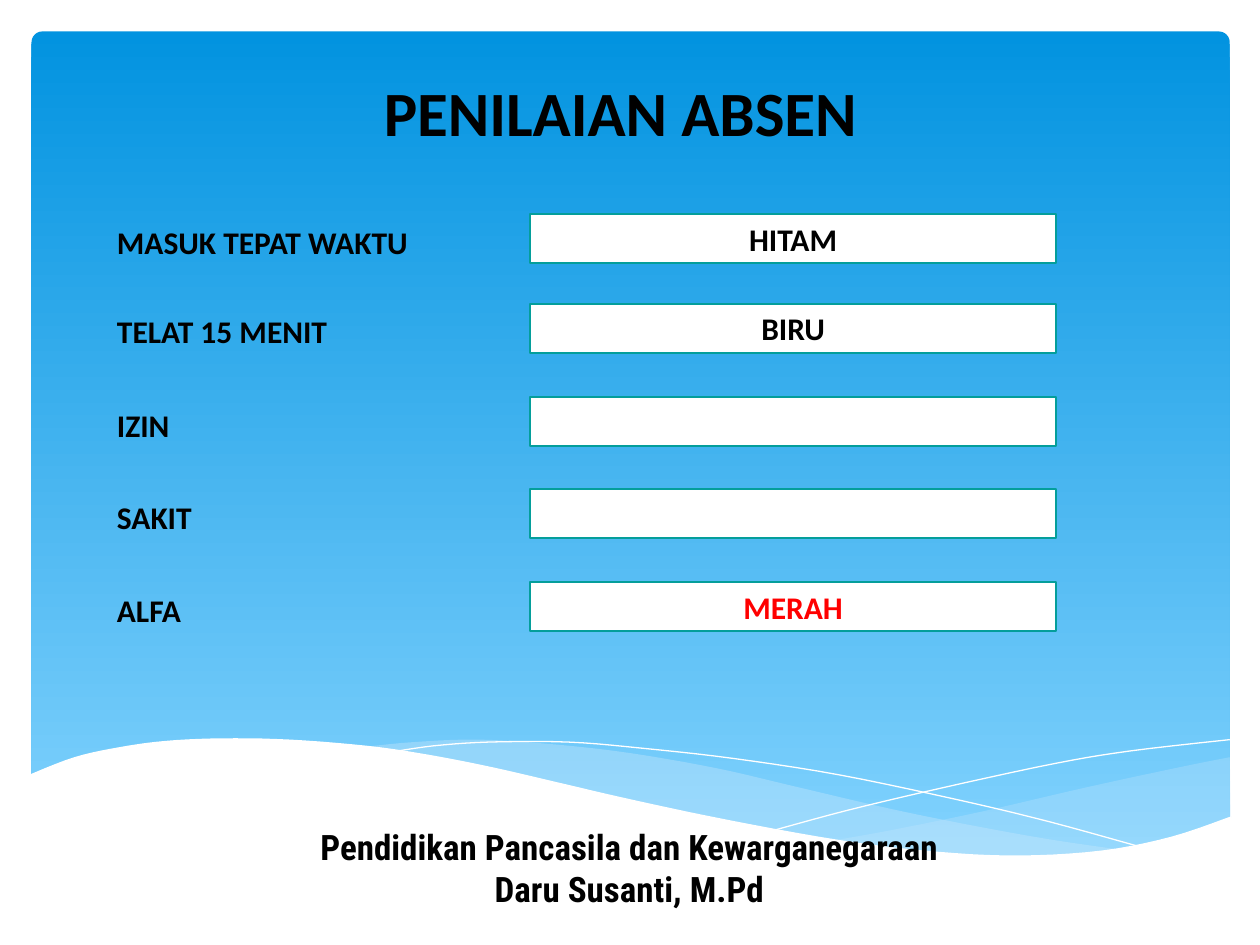
from lxml.etree import SubElement
from pptx import Presentation
from pptx.dml.color import RGBColor
from pptx.enum.shapes import MSO_SHAPE
from pptx.enum.text import MSO_ANCHOR, MSO_AUTO_SIZE, PP_ALIGN
from pptx.oxml.ns import qn
from pptx.util import Pt

PX = 9144
RIGHT_CREST = [(976, 601), (936, 609), (862, 625), (780, 644), (707, 659), (662, 667)]
RIGHT_BASE = [(662, 667), (719, 674), (782, 679), (845, 679), (898, 672), (944, 661), (977, 649)]
MIDDLE_CREST = [(894, 675), (838, 667), (776, 656), (707, 642), (630, 624), (570, 610),
                (502, 598), (442, 591), (380, 587), (328, 589), (287, 593)]
MIDDLE_BASE = [(287, 593), (343, 601), (405, 613), (450, 624), (530, 642), (602, 657),
               (666, 668), (737, 677), (808, 680), (859, 679), (894, 675)]
LONG_THREAD = [(310, 597), (344, 592), (388, 589), (451, 589), (511, 594), (582, 602),
               (666, 615), (761, 635), (832, 652), (908, 673)]
SHORT_THREAD = [(614, 659), (673, 643), (749, 625), (837, 606), (897, 596), (976, 587)]
FRONT_CREST = [(977, 648), (930, 664), (875, 675), (809, 679), (744, 676), (668, 667),
               (579, 651), (503, 635), (447, 622), (391, 609), (340, 599), (292, 592),
               (230, 587), (177, 586), (132, 588), (95, 593), (59, 601), (23, 615)]
ROWS = [
    (170, "MASUK TEPAT WAKTU", 266, "HITAM", "000000"),
    (241, "TELAT 15 MENIT", 191, "BIRU", "000000"),
    (315, "IZIN", 64, "", "000000"),
    (388, "SAKIT", 85, "", "000000"),
    (462, "ALFA", 76, "MERAH", "FF0000"),
]
FONT = {"name": "Calibri", "size": Pt(18), "bold": True}


def paint(color_format, hex_color):
    """Give a colour format an RGB value."""
    color_format.rgb = RGBColor.from_string(hex_color)


def apply(target, formats):
    """Set every attribute named in formats on target."""
    for attribute, value in formats.items():
        setattr(target, attribute, value)


def scaled(*lengths):
    """Turn px lengths into EMU."""
    return [length * PX for length in lengths]


def write(shape, lines, align, hex_color="000000", frame_format=None, **font_format):
    """Write one paragraph for each line into a shape."""
    frame = shape.text_frame
    apply(frame, {"word_wrap": True, **(frame_format or {})})
    frame.text = "\n".join(lines)
    for paragraph in frame.paragraphs:
        paragraph.alignment = align
        apply(paragraph.font, {**FONT, **font_format})
        paint(paragraph.font.color, hex_color)


def smooth_curve(anchors, steps=5):
    """Return points of a Catmull-Rom curve through the anchors."""
    padded = [anchors[0], *anchors, anchors[-1]]
    points = [anchors[0]]
    for quad in zip(padded, padded[1:], padded[2:], padded[3:]):
        for step in range(1, steps + 1):
            t = step / steps
            points.append(tuple(
                (2 * b + (c - a) * t + (2 * a - 5 * b + 4 * c - d) * t ** 2
                 + (3 * b - a - 3 * c + d) * t ** 3) / 2
                for a, b, c, d in zip(*quad)))
    return points


def draw_outline(slide, origin, points, closed):
    """Draw a freeform through px points offset by origin."""
    left, top = origin
    start, *rest = [((left + x) * PX, (top + y) * PX) for x, y in points]
    builder = slide.shapes.build_freeform(*start)
    builder.add_line_segments(rest, close=closed)
    outline = builder.convert_to_shape()
    outline.shadow.inherit = False
    return outline


def add_wave(slide, origin, points, hex_color, opacity=100):
    """Add a filled wave without a line."""
    wave = draw_outline(slide, origin, points, True)
    wave.fill.solid()
    paint(wave.fill.fore_color, hex_color)
    wave.line.fill.background()
    if opacity < 100:
        color = wave.fill._xPr.find(qn("a:solidFill"))[0]
        SubElement(color, qn("a:alpha")).set("val", str(opacity * 1000))


def add_thread(slide, origin, anchors):
    """Add a white hairline curve."""
    thread = draw_outline(slide, origin, smooth_curve(anchors), False)
    thread.fill.background()
    paint(thread.line.color, "FFFFFF")
    thread.line.width = Pt(0)


def add_backdrop(slide, left, top, width, height):
    """Add the blue panel with the waves along its foot."""
    panel = slide.shapes.add_shape(MSO_SHAPE.ROUNDED_RECTANGLE,
                                   *scaled(left + 25, top + 25, width - 49, height - 90))
    panel.adjustments[0] = 0.013
    panel.shadow.inherit = False
    panel.line.fill.background()
    panel.fill.gradient()
    panel.fill.gradient_angle = 270
    for stop, position, hex_color in zip(panel.fill.gradient_stops, (0, 1), ("0293E0", "83D3FE")):
        stop.position = position
        paint(stop.color, hex_color)
    origin = left, top
    for crest, base, opacity in ((RIGHT_CREST, RIGHT_BASE, 29), (MIDDLE_CREST, MIDDLE_BASE, 40)):
        add_wave(slide, origin, smooth_curve(crest) + smooth_curve(base)[1:], "C6E7FC", opacity)
    for anchors in (LONG_THREAD, SHORT_THREAD):
        add_thread(slide, origin, anchors)
    add_wave(slide, origin, smooth_curve(FRONT_CREST) + [(23, 731), (977, 731)], "FFFFFF")


def place_title(slide, left, top, width, height):
    """Place the title placeholder in front of the backdrop."""
    title = slide.shapes.title
    title.element.getparent().append(title.element)
    apply(title, dict(zip(("left", "top", "width", "height"), scaled(left, top, width, height))))
    write(title, ["PENILAIAN ABSEN"], PP_ALIGN.CENTER, size=Pt(36),
          frame_format={"vertical_anchor": MSO_ANCHOR.TOP,
                        "auto_size": MSO_AUTO_SIZE.SHAPE_TO_FIT_TEXT})


def add_footer(slide, left, top, width, height):
    """Add the subject and teacher lines."""
    footer = slide.shapes.add_textbox(*scaled(left, top, width, height))
    write(footer, ["Pendidikan Pancasila dan Kewarganegaraan", "Daru Susanti, M.Pd"],
          PP_ALIGN.CENTER, name="Roboto Condensed", size=Pt(20),
          frame_format={"auto_size": MSO_AUTO_SIZE.SHAPE_TO_FIT_TEXT})


def add_attendance_row(slide, left, top, status, status_width, mark, mark_color):
    """Add a status label and its box with the ink colour."""
    box = slide.shapes.add_shape(MSO_SHAPE.RECTANGLE, *scaled(left + 338, top, 417, 39))
    box.shadow.inherit = False
    box.fill.solid()
    paint(box.fill.fore_color, "FFFFFF")
    paint(box.line.color, "049E9B")
    box.line.width = Pt(1.25)
    if mark:
        write(box, [mark], PP_ALIGN.CENTER, mark_color,
              {"vertical_anchor": MSO_ANCHOR.MIDDLE})
    label = slide.shapes.add_textbox(*scaled(left, top + 2, status_width, 40))
    write(label, [status], PP_ALIGN.LEFT,
          frame_format={"word_wrap": False, "auto_size": MSO_AUTO_SIZE.SHAPE_TO_FIT_TEXT})


def main():
    """Build and save the attendance slide."""
    deck = Presentation()
    apply(deck, dict(zip(("slide_width", "slide_height"), scaled(1000, 750))))
    slide = deck.slides.add_slide(deck.slide_layouts.get_by_name("Title Only"))
    add_backdrop(slide, 0, 0, 1000, 750)
    add_footer(slide, 35, 650, 929, 77)
    place_title(slide, 28, 53, 929, 71)
    for top, *entry in ROWS:
        add_attendance_row(slide, 83, top, *entry)
    deck.save("out.pptx")


if __name__ == "__main__":
    main()
